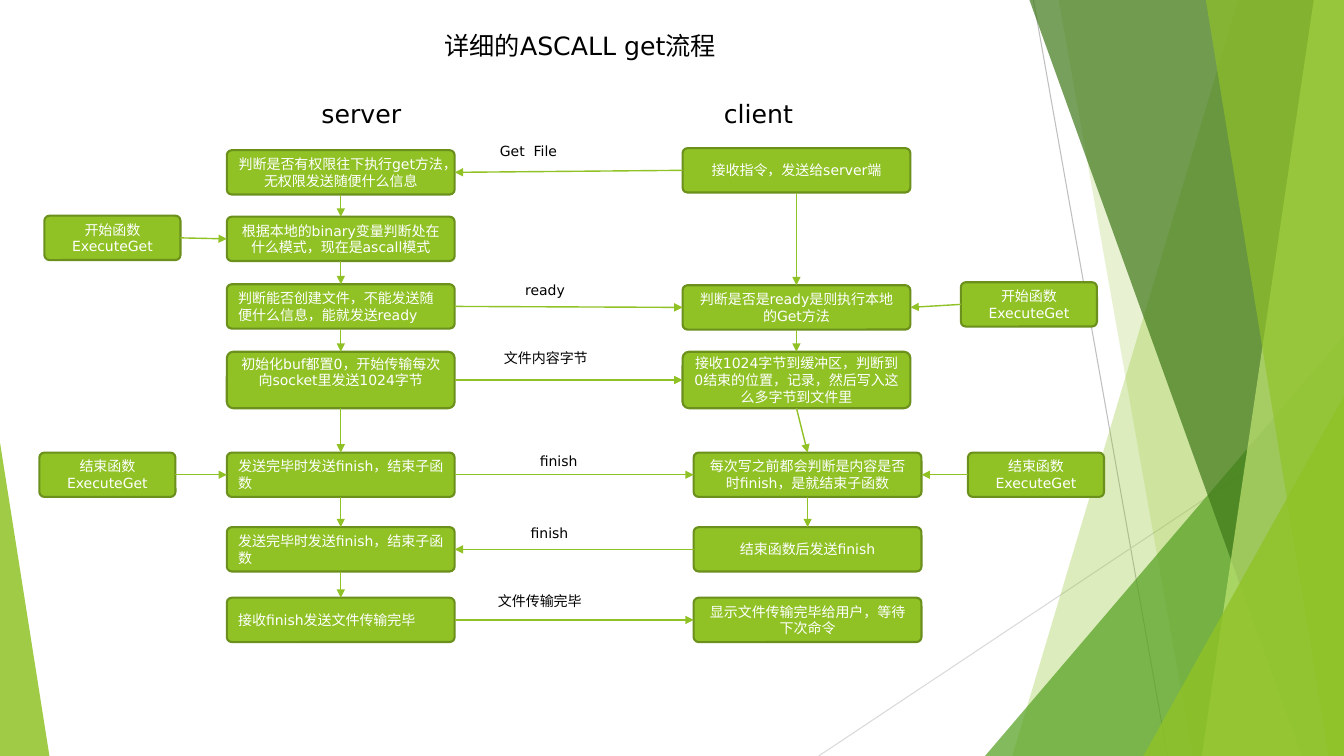
from lxml.etree import SubElement
from pptx import Presentation
from pptx.dml.color import RGBColor
from pptx.enum.shapes import MSO_CONNECTOR, MSO_SHAPE
from pptx.enum.text import MSO_ANCHOR, PP_ALIGN
from pptx.oxml.ns import qn
from pptx.util import Inches, Pt

W, H = 13.33, 7.5
FONT = "DejaVu Sans"
COLORS = {
    "green": "90C226", "edge": "6B901C", "mid": "54A021", "dark": "3F7819",
    "pale": "C0E474", "gray": "BFBFBF", "silver": "D9D9D9",
    "white": "FFFFFF", "black": "000000",
}
# Left edges of the columns and top edges of the rows
COLS = {"start": 0.44, "end": 0.39, "server": 2.25, "client": 6.77,
        "client_end": 6.88, "client_start_note": 9.53, "client_end_note": 9.6}
ROWS = [1.49, 2.15, 2.82, 3.49, 4.49, 5.23, 5.93]
BOX_W, NOTE_W, LABEL_W = 2.26, 1.35, 1.42
BOX_H, TALL_H = 0.44, 0.56
TOP, LEFT, BOTTOM, RIGHT = range(4)

# column, row, vertical nudge, text
SERVER_STEPS = [
    "判断是否有权限往下执行get方法，无权限发送随便什么信息",
    "根据本地的binary变量判断处在什么模式，现在是ascall模式",
    "判断能否创建文件，不能发送随便什么信息，能就发送ready",
    "初始化buf都置0，开始传输每次向socket里发送1024字节",
    "发送完毕时发送finish，结束子函数",
    "发送完毕时发送finish，结束子函数",
    "接收finish发送文件传输完毕",
]
LEFT_ALIGNED = {2, 4, 5, 6}
CLIENT_STEPS = [
    ("client", 0, -0.02, "接收指令，发送给server端"),
    ("client", 2, 0.01, "判断是否是ready是则执行本地的Get方法"),
    ("client", 3, 0, "接收1024字节到缓冲区，判断到0结束的位置，记录，然后写入这么多字节到文件里"),
    ("client_end", 4, 0, "每次写之前都会判断是内容是否时finish，是就结束子函数"),
    ("client_end", 5, 0, "结束函数后发送finish"),
    ("client_end", 6, 0, "显示文件传输完毕给用户，等待下次命令"),
]
NOTES = [
    ("start", 1, -0.01, "开始函数ExecuteGet"),
    ("end", 4, 0, "结束函数ExecuteGet"),
    ("client_start_note", 2, -0.02, "开始函数ExecuteGet"),
    ("client_end_note", 4, 0, "结束函数ExecuteGet"),
]
LABELS = [
    (5.11, 2.74, "ready", PP_ALIGN.LEFT),
    (4.86, 1.36, "Get  File", PP_ALIGN.LEFT),
    (4.9, 3.42, "文件内容字节", PP_ALIGN.LEFT),
    (4.83, 4.44, "finish", PP_ALIGN.CENTER),
    (4.74, 5.15, "finish", PP_ALIGN.CENTER),
    (4.84, 5.83, "文件传输完毕", PP_ALIGN.LEFT),
]
# top x, bottom x, colour, opacity in percent; each band runs to the right edge
BACK_BANDS = [(12.28, 10.04, "green", 30), (10.5, 11.83, "green", 20)]
FRONT_BANDS = [(10.21, 12.91, "dark", 70), (13.03, 11.92, "pale", 70),
               (11.96, 13.18, "green", 65)]


def rgb(name):
    return RGBColor.from_string(COLORS[name])


def write(sp, text, size=10, color="white", align=PP_ALIGN.CENTER,
          anchor=MSO_ANCHOR.MIDDLE):
    tf = sp.text_frame
    tf.word_wrap = True
    tf.vertical_anchor = anchor
    p = tf.paragraphs[0]
    p.alignment = align
    r = p.add_run()
    r.text = text
    r.font.name, r.font.size = FONT, Pt(size)
    r.font.color.rgb = rgb(color)


def add_label(s, x, y, w, text, size=10, align=PP_ALIGN.LEFT):
    sp = s.shapes.add_textbox(Inches(x), Inches(y), Inches(w), Inches(0.4))
    write(sp, text, size=size, color="black", align=align, anchor=MSO_ANCHOR.TOP)


def add_box(s, col, row, nudge, text, w=BOX_W, h=BOX_H, align=PP_ALIGN.CENTER):
    sp = s.shapes.add_shape(MSO_SHAPE.ROUNDED_RECTANGLE, Inches(COLS[col]),
                            Inches(ROWS[row] + nudge), Inches(w), Inches(h))
    sp.adjustments[0] = 0.113
    sp.shadow.inherit = False
    sp.fill.solid()
    sp.fill.fore_color.rgb = rgb("green")
    sp.line.color.rgb = rgb("edge")
    sp.line.width = Pt(1.5)
    write(sp, text, align=align)
    return sp


def add_line(s, color, width, x1=0, y1=0, x2=0, y2=0):
    cx = s.shapes.add_connector(MSO_CONNECTOR.STRAIGHT, Inches(x1), Inches(y1),
                                Inches(x2), Inches(y2))
    cx.line.color.rgb = rgb(color)
    cx.line.width = Pt(width)
    SubElement(cx._element.spPr, qn("a:effectLst"))
    return cx


def add_arrow(s, source, source_side, target, target_side):
    cx = add_line(s, "green", 1)
    cx.begin_connect(source, source_side)
    cx.end_connect(target, target_side)
    SubElement(cx.line._get_or_add_ln(), qn("a:tailEnd"), type="triangle")


def tint(sp, color, opacity):
    """Give a borderless shape a see-through fill."""
    sp.shadow.inherit = False
    sp.line.fill.background()
    sp.fill.solid()
    sp.fill.fore_color.rgb = rgb(color)
    clr = sp._element.spPr.find(qn("a:solidFill")).find(qn("a:srgbClr"))
    SubElement(clr, qn("a:alpha"), val=str(opacity * 1000))


def add_band(s, top_x, bottom_x, color, opacity):
    fb = s.shapes.build_freeform(Inches(top_x), 0)
    corners = [(W, 0), (W, H), (bottom_x, H)]
    fb.add_line_segments([(Inches(x), Inches(y)) for x, y in corners], close=True)
    tint(fb.convert_to_shape(), color, opacity)


def add_corner(s, x, y, w, peak, color, opacity):
    """Right triangle standing on the bottom edge, peak 0 left or 1 right."""
    sp = s.shapes.add_shape(MSO_SHAPE.ISOSCELES_TRIANGLE, Inches(x), Inches(y),
                            Inches(w), Inches(H - y))
    sp.adjustments[0] = peak
    tint(sp, color, opacity)


def add_backdrop(s):
    add_line(s, "gray", 0.75, 10.25, 0, 11.58, H)
    add_line(s, "silver", 0.75, W, 4.03, 8.12, H)
    for band in BACK_BANDS:
        add_band(s, *band)
    add_corner(s, 9.77, 3.33, W - 9.77, 1, "mid", 72)
    for band in FRONT_BANDS:
        add_band(s, *band)
    add_corner(s, 11.34, 3.93, W - 11.34, 1, "green", 80)
    add_corner(s, 0, 4.39, 0.49, 0, "green", 85)


def add_flow(s):
    server = [add_box(s, "server", row, 0, text, h=TALL_H if row == 3 else BOX_H,
                      align=PP_ALIGN.LEFT if row in LEFT_ALIGNED else PP_ALIGN.CENTER)
              for row, text in enumerate(SERVER_STEPS)]
    server[3].text_frame.margin_bottom = Inches(0.21)
    client = {step[1]: add_box(s, *step, h=TALL_H if step[1] == 3 else BOX_H)
              for step in CLIENT_STEPS}
    notes = [add_box(s, *note, w=NOTE_W) for note in NOTES]

    for steps in (server, list(client.values())[:-1]):
        for upper, lower in zip(steps, steps[1:]):
            add_arrow(s, upper, BOTTOM, lower, TOP)
    for row in (2, 3, 4, 6):
        add_arrow(s, server[row], RIGHT, client[row], LEFT)
    for row in (0, 5):
        add_arrow(s, client[row], LEFT, server[row], RIGHT)
    for note, row in zip(notes[:2], (1, 4)):
        add_arrow(s, note, RIGHT, server[row], LEFT)
    for note, row in zip(notes[2:], (2, 4)):
        add_arrow(s, note, LEFT, client[row], RIGHT)


def main():
    prs = Presentation()
    prs.slide_width, prs.slide_height = Inches(W), Inches(H)
    s = prs.slides.add_slide(prs.slide_layouts[6])
    add_backdrop(s)
    add_label(s, 4.31, 0.25, 3, "详细的ASCALL get流程", size=18)
    add_label(s, 3.09, 0.93, 1.39, "server", size=18)
    add_label(s, 7.08, 0.93, 1.21, "client", size=18)
    add_flow(s)
    for x, y, text, align in LABELS:
        add_label(s, x, y, LABEL_W, text, align=align)
    prs.save("out.pptx")


if __name__ == "__main__":
    main()
